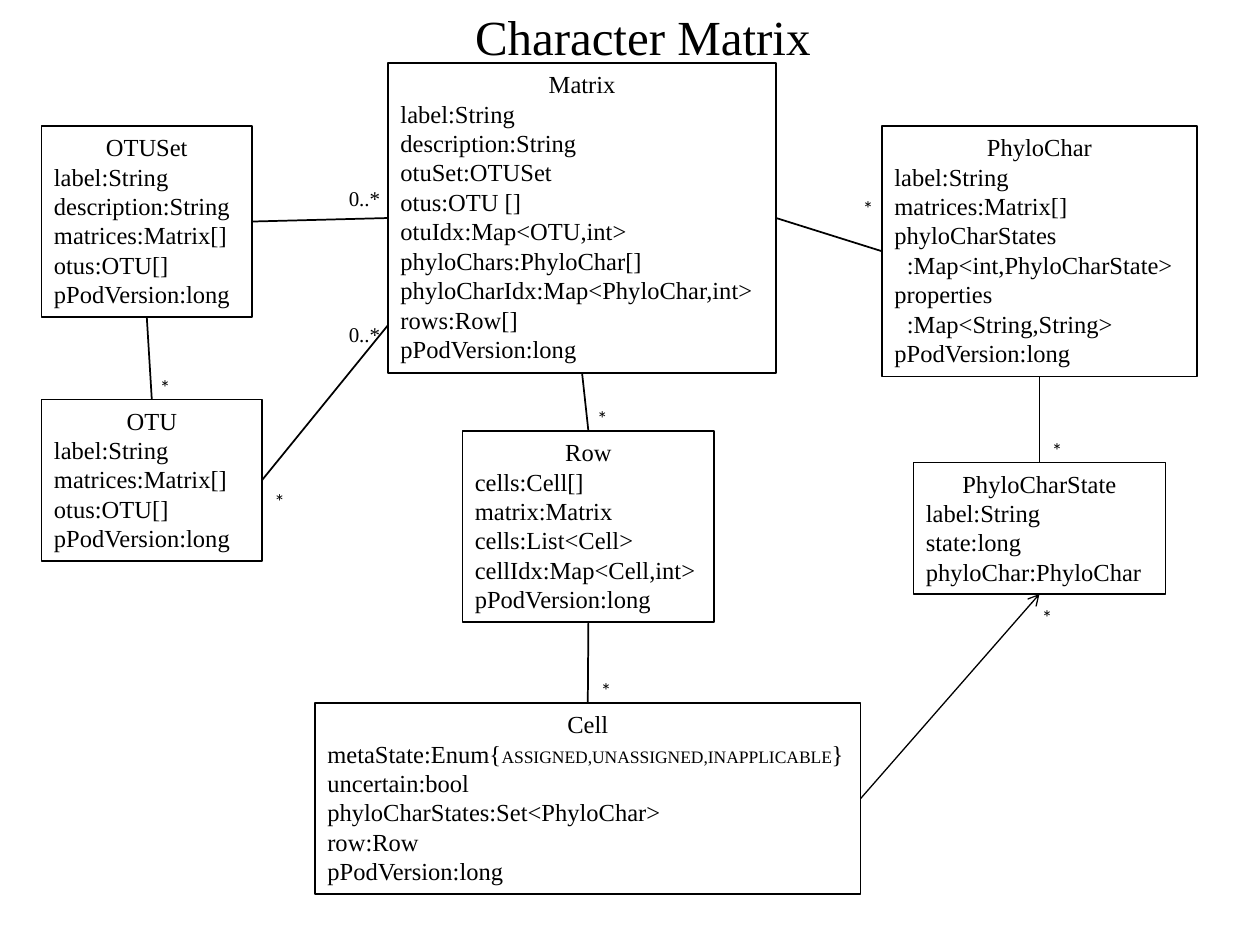
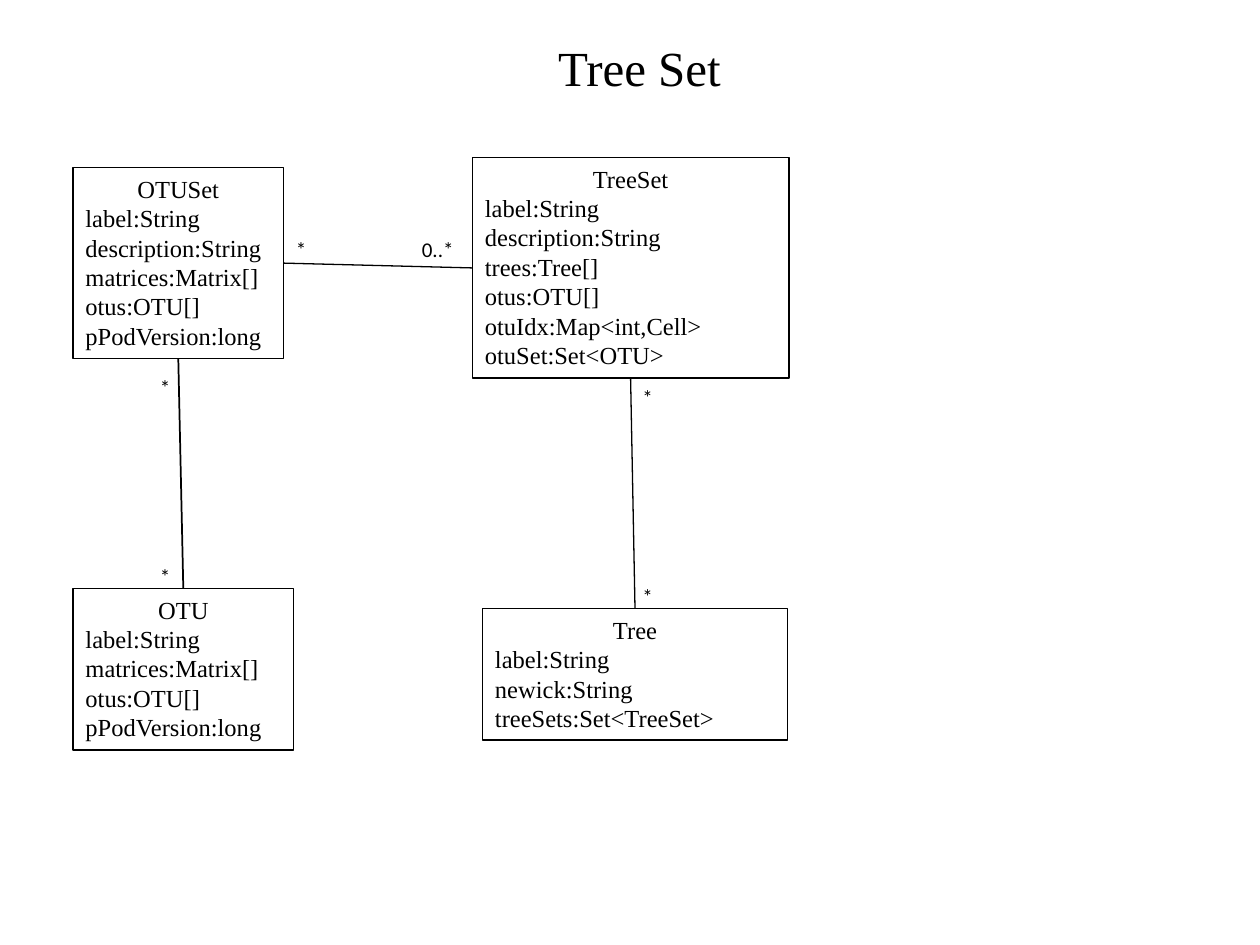
from lxml import etree
from pptx import Presentation
from pptx import util as u
from pptx.dml.color import RGBColor
from pptx.enum import shapes, text
from pptx.oxml.ns import qn

HUES = {"ink": "000000", "paper": "FFFFFF"}
INK, PAPER = (RGBColor.from_string(HUES[key]) for key in ("ink", "paper"))
SERIF, SANS = "Times New Roman", "Calibri"
TOP, LEFT, BOTTOM, RIGHT = range(4)
ALIGN = text.PP_ALIGN

FRAME = {
    "margin_left": u.Inches(0.1), "margin_right": u.Inches(0.1),
    "margin_top": u.Inches(0.05), "margin_bottom": u.Inches(0.05),
    "vertical_anchor": text.MSO_ANCHOR.TOP,
    "auto_size": text.MSO_AUTO_SIZE.SHAPE_TO_FIT_TEXT,
}

OTUSET = ["OTUSet", "label:String", "description:String", "matrices:Matrix[]",
          "otus:OTU[]", "pPodVersion:long"]
OTU = ["OTU", "label:String", "matrices:Matrix[]", "otus:OTU[]", "pPodVersion:long"]

SLIDES = [
    {
        "title": ("Character Matrix", 3.67, 0, 2.89),
        "boxes": [
            (0.33, 1, 1.67, OTUSET),
            (3.08, 0.5, 3.08, [
                "Matrix", "label:String", "description:String", "otuSet:OTUSet",
                "otus:OTU []", "otuIdx:Map<OTU,int>", "phyloChars:PhyloChar[]",
                "phyloCharIdx:Map<PhyloChar,int>", "rows:Row[]", "pPodVersion:long"]),
            (0.33, 3.17, 1.75, OTU),
            (7, 1, 2.5, [
                "PhyloChar", "label:String", "matrices:Matrix[]", "phyloCharStates",
                ":Map<int,PhyloCharState>", "properties", ":Map<String,String>",
                "pPodVersion:long"]),
            (7.25, 3.67, 2, [
                "PhyloCharState", "label:String", "state:long", "phyloChar:PhyloChar"]),
            (3.67, 3.42, 2, [
                "Row", "cells:Cell[]", "matrix:Matrix", "cells:List<Cell>",
                "cellIdx:Map<Cell,int>", "pPodVersion:long"]),
            (2.5, 5.58, 4.33, [
                "Cell", "metaState:Enum{|ASSIGNED,UNASSIGNED,INAPPLICABLE|}",
                "uncertain:bool", "phyloCharStates:Set<PhyloChar>", "row:Row",
                "pPodVersion:long"]),
        ],
        "links": [
            ("Matrix", LEFT, "OTUSet", RIGHT, 1, False),
            ("OTU", TOP, "OTUSet", BOTTOM, 1, False),
            ("Row", TOP, "Matrix", BOTTOM, 1, False),
            ("PhyloCharState", TOP, "PhyloChar", BOTTOM, 1, False),
            ("Row", BOTTOM, "Cell", TOP, 1, False),
            ("PhyloChar", LEFT, "Matrix", RIGHT, 1, False),
            ((3.08, 2.58), None, "OTU", RIGHT, 1, False),
            ("Cell", RIGHT, "PhyloCharState", BOTTOM, 0.75, True),
        ],
        "marks": [
            ("*", 6.75, 1.5, SANS), ("*", 1.17, 2.92, SANS), ("*", 4.64, 3.17, SANS),
            ("*", 4.67, 5.33, SANS), ("*", 8.25, 3.42, SANS), ("*", 2.08, 3.83, SANS),
            ("*", 8.17, 4.75, SANS), ("0..*", 2.67, 1.42, SERIF),
            ("0..*", 2.67, 2.5, SERIF),
        ],
    },
    {
        "title": ("Tree Set", 4.33, 0.25, 1.51),
        "boxes": [
            (3.83, 4.83, 2.42, [
                "Tree", "label:String", "newick:String", "treeSets:Set<TreeSet>"]),
            (3.75, 1.25, 2.51, [
                "TreeSet", "label:String", "description:String", "trees:Tree[]",
                "otus:OTU[]", "otuIdx:Map<int,Cell>", "otuSet:Set<OTU>"]),
            (0.58, 1.33, 1.67, OTUSET),
            (0.58, 4.67, 1.75, OTU),
        ],
        "links": [
            ("TreeSet", BOTTOM, "Tree", TOP, 0.75, False),
            ("OTU", TOP, "OTUSet", BOTTOM, 1, False),
            ("OTUSet", RIGHT, "TreeSet", LEFT, 0.75, False),
        ],
        "marks": [
            ("*", 5, 3, SANS), ("*", 5, 4.58, SANS), ("*", 1.17, 2.92, SANS),
            ("*", 2.25, 1.83, SANS), ("0..*", 3.25, 1.83, SANS),
            ("*", 1.17, 4.42, SANS),
        ],
    },
]


def style(frame, wrap):
    for name, value in {**FRAME, "word_wrap": wrap}.items():
        setattr(frame, name, value)


def write(para, words, size, face, align=ALIGN.LEFT):
    para.alignment = align
    run = para.add_run()
    run.text = words
    run.font.color.rgb = INK
    for name, value in {"size": u.Pt(size), "name": face}.items():
        setattr(run.font, name, value)


deck = Presentation()
deck.slide_width, deck.slide_height = u.Inches(10), u.Inches(7.5)

for data in SLIDES:
    slide = deck.slides.add_slide(deck.slide_layouts[5])
    slide.background.fill.solid()
    slide.background.fill.fore_color.rgb = PAPER

    words, left, top, width = data["title"]
    title = slide.shapes.title
    place = {"left": left, "top": top, "width": width, "height": 0.57}
    for name, value in place.items():
        setattr(title, name, u.Inches(value))
    style(title.text_frame, False)
    write(title.text_frame.paragraphs[0], words, 28, SERIF)

    boxes = {}
    for left, top, width, lines in data["boxes"]:
        height = u.Inches(0.1) + u.Pt(17) * len(lines)
        box = slide.shapes.add_shape(
            shapes.MSO_SHAPE.RECTANGLE, u.Inches(left), u.Inches(top),
            u.Inches(width), height)
        boxes[lines[0]] = box
        box.shadow.inherit = False
        box.fill.solid()
        box.fill.fore_color.rgb = PAPER
        box.line.color.rgb = INK
        box.line.width = u.Pt(1)
        frame = box.text_frame
        style(frame, True)
        for row, line in enumerate(lines):
            para = frame.add_paragraph() if row else frame.paragraphs[0]
            align = ALIGN.LEFT if row else ALIGN.CENTER
            for part, size in zip(line.split("|"), (14, 10, 14)):
                write(para, part, size, SERIF, align)
            if line.startswith(":"):
                para._p.get_or_add_pPr().set("marL", str(u.Inches(0.1)))

    for start, side, end, stop, weight, arrow in data["links"]:
        spot = (0, 0) if start in boxes else start
        x, y = map(u.Inches, spot)
        link = slide.shapes.add_connector(shapes.MSO_CONNECTOR.STRAIGHT, x, y, x, y)
        if start in boxes:
            link.begin_connect(boxes[start], side)
        link.end_connect(boxes[end], stop)
        link.line.color.rgb = INK
        link.line.width = u.Pt(weight)
        if arrow:
            etree.SubElement(link.line._get_or_add_ln(), qn("a:tailEnd"), type="arrow")
        etree.SubElement(link._element.spPr, qn("a:effectLst"))

    for words, left, top, face in data["marks"]:
        width = 0.29 if words == "*" else 0.46
        mark = slide.shapes.add_textbox(*map(u.Inches, (left, top, width, 0.3)))
        style(mark.text_frame, False)
        write(mark.text_frame.paragraphs[0], words, 12, face)

deck.save("out.pptx")
